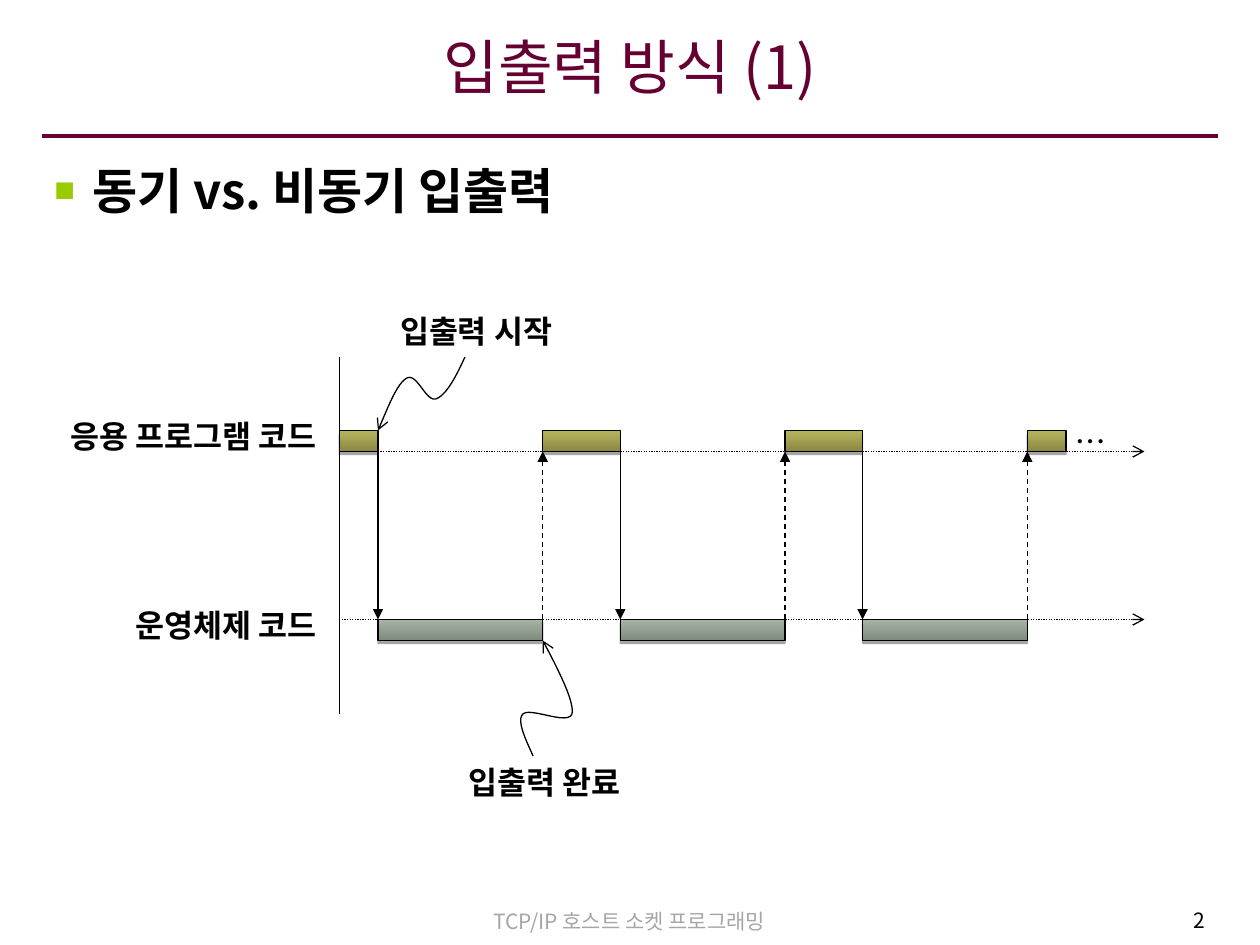
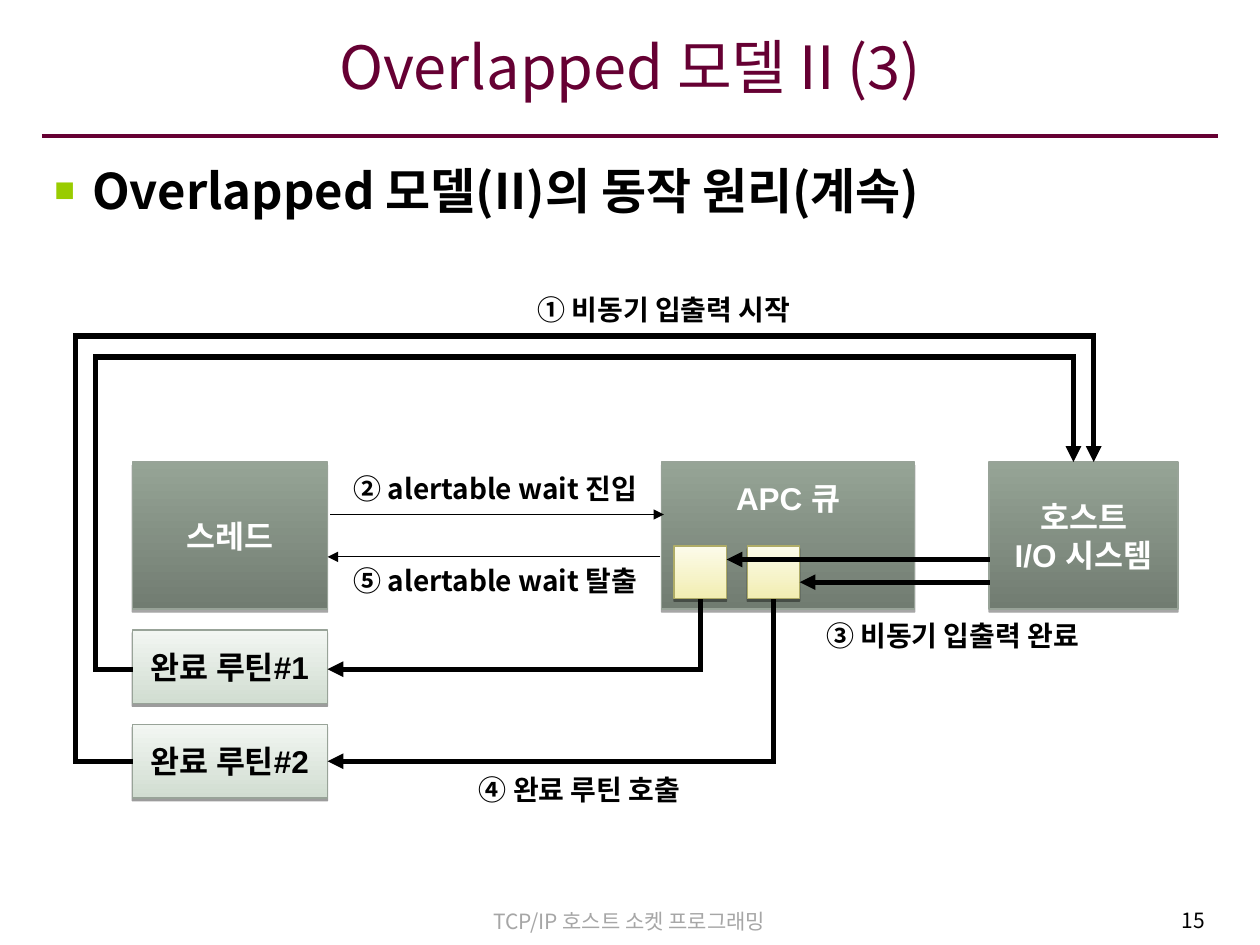
from collections import namedtuple
from itertools import pairwise

from lxml.etree import SubElement
from pptx import Presentation
from pptx.dml.color import RGBColor
from pptx.enum.dml import MSO_LINE
from pptx.enum.shapes import MSO_CONNECTOR, MSO_SHAPE
from pptx.enum.text import MSO_ANCHOR, PP_ALIGN
from pptx.oxml.ns import qn
from pptx.util import Pt

Box = namedtuple("Box", "left top width height")

COLOURS = {
    "black": "000000", "white": "FFFFFF", "wine": "660033",
    "lime": "99CC00", "footer": "A6A6A6",
    "olive_low": "8A8745", "olive_high": "B8B45C",
    "sage_low": "7E8A7E", "sage_high": "A6B6A6",
    "moss_low": "717C71", "moss_high": "96A496", "moss_edge": "98A398",
    "mint_low": "D1DDD1", "mint_high": "F2F6F2",
    "cream_low": "F2EEB2", "cream_high": "FCFBEA", "cream_edge": "AFAC67",
}
KOREAN = "Noto Sans CJK KR"
FONTS = {
    "title": {"name": KOREAN, "size": Pt(34)},
    "heading": {"name": KOREAN, "size": Pt(28), "bold": True},
    "footer": {"name": KOREAN, "size": Pt(12)},
    "label": {"name": KOREAN, "size": Pt(18), "bold": True},
    "step": {"name": KOREAN, "size": Pt(16), "bold": True},
    "block": {"name": "Arial", "size": Pt(18), "bold": True},
    "dots": {"name": "Times New Roman", "size": Pt(10)},
}
MARGINS = {"margin_left": Pt(7.2), "margin_top": Pt(3.6),
           "margin_right": Pt(7.2), "margin_bottom": Pt(3.6)}
UNWRAPPED = {"word_wrap": False, "vertical_anchor": MSO_ANCHOR.MIDDLE}
SLIDE = Box(0, 0, 720, 540)
TIMELINE = Box(66, 174, 588, 288)
FLOW = Box(43, 162, 631, 300)


def colour(name):
    return RGBColor.from_string(COLOURS[name])


def apply_format(target, values):
    for name, value in values.items():
        setattr(target, name, value)


def inside(area, left, top, width, height):
    return Box(area.left + left, area.top + top, width, height)


def lengths(box):
    return [Pt(value) for value in box]


def write(shape, lines, style, tint="black", align=PP_ALIGN.CENTER, **frame_format):
    frame = shape.text_frame
    apply_format(frame, MARGINS | UNWRAPPED | frame_format)
    for index, line in enumerate(lines.split("\n")):
        para = frame.add_paragraph() if index else frame.paragraphs[0]
        para.alignment = align
        span = para.add_run()
        span.text = line
        apply_format(span.font, FONTS[style])
        span.font.color.rgb = colour(tint)
        SubElement(span._r.get_or_add_rPr(), qn("a:ea"), typeface=KOREAN)
    return frame


def add_label(page, box, text, style, tint="black", align=PP_ALIGN.CENTER, **frame_format):
    shape = page.shapes.add_textbox(*lengths(box))
    return write(shape, text, style, tint, align, **frame_format)


def add_plain_label(page, box, text):
    shape = page.shapes.add_shape(MSO_SHAPE.RECTANGLE, *lengths(box))
    shape.shadow.inherit = False
    shape.fill.solid()
    shape.fill.fore_color.rgb = colour("white")
    shape.line.fill.background()
    write(shape, text, "label", align=PP_ALIGN.RIGHT)


def add_block(page, box, family, edge="black", opacity=35, drop=1.8):
    shape = page.shapes.add_shape(MSO_SHAPE.RECTANGLE, *lengths(box))
    shape.fill.gradient()
    shape.fill.gradient_angle = 90
    for stop, end in zip(shape.fill.gradient_stops, ("low", "high")):
        stop.color.rgb = colour(f"{family}_{end}")
    shape.line.color.rgb = colour(edge)
    shape.line.width = Pt(0.75)
    shape.shadow.inherit = False
    effects = shape.element.spPr.find(qn("a:effectLst"))
    shadow = SubElement(effects, qn("a:outerShdw"), blurRad="0", dist=str(Pt(drop)),
                        dir="5400000", algn="ctr", rotWithShape="0")
    black = SubElement(shadow, qn("a:srgbClr"), val=COLOURS["black"])
    SubElement(black, qn("a:alpha"), val=str(opacity * 1000))
    return shape


def style_line(shape, tint, width, dash=None, head=None, tail=None):
    shape.line.color.rgb = colour(tint)
    shape.line.width = Pt(width)
    if dash:
        shape.line.dash_style = dash
    outline = shape.element.spPr.find(qn("a:ln"))
    for end, kind in (("a:headEnd", head), ("a:tailEnd", tail)):
        if kind:
            SubElement(outline, qn(end), type=kind)
    return outline


def add_line(page, area, start, end, tint="black", width=0.75, dash=None, tail=None):
    ends = [Pt(base + value) for point in (start, end)
            for base, value in zip((area.left, area.top), point)]
    line = page.shapes.add_connector(MSO_CONNECTOR.STRAIGHT, *ends)
    outline = style_line(line, tint, width, dash, tail=tail)
    SubElement(line.element.spPr, qn("a:effectLst"))
    return outline


def add_route(page, area, joints):
    legs = list(pairwise(joints))
    for start, end in legs[:-1]:
        add_line(page, area, start, end, width=3).set("cap", "sq")
    add_line(page, area, *legs[-1], width=3, tail="triangle")


def add_curve(page, area, points, steps=12):
    samples = []
    for first in range(0, len(points) - 1, 3):
        corners = points[first:first + 4]
        for step in range(1, steps + 1):
            t = step / steps
            weights = ((1 - t) ** 3, 3 * t * (1 - t) ** 2, 3 * t * t * (1 - t), t ** 3)
            samples.append([sum(weight * corner[axis] for weight, corner in zip(weights, corners))
                            for axis in (0, 1)])
    start, *rest = [(Pt(area.left + x), Pt(area.top + y)) for x, y in [points[0], *samples]]
    builder = page.shapes.build_freeform(*start)
    builder.add_line_segments(rest, close=False)
    curve = builder.convert_to_shape()
    curve.fill.background()
    curve.shadow.inherit = False
    style_line(curve, "black", 0.75, head="arrow")


def add_frame(page, area, title, heading, number):
    add_line(page, area, (24, 77.8), (696, 77.8), "wine", 2.25)
    top = {"word_wrap": True, "vertical_anchor": MSO_ANCHOR.TOP}
    add_label(page, inside(area, 206.6, 515.5, 306, 21.6),
              "TCP/IP 호스트 소켓 프로그래밍", "footer", "footer", **top)
    add_label(page, inside(area, 543, 515, 152.6, 23.8), number, "footer",
              align=PP_ALIGN.RIGHT, **top)
    add_label(page, inside(area, 24, 10.8, 672, 61.2), title, "title", "wine",
              word_wrap=True, margin_left=Pt(6), margin_right=Pt(6), margin_bottom=Pt(11.5))
    body = add_label(page, inside(area, 24, 88, 672, 422), heading, "heading",
                     align=PP_ALIGN.LEFT, **top)
    para = body.paragraphs[0]
    para.space_before = Pt(7)
    properties = para._p.get_or_add_pPr()
    properties.set("marL", str(Pt(21.6)))
    properties.set("indent", str(-Pt(21.6)))
    bullet = SubElement(properties, qn("a:buClr"))
    SubElement(bullet, qn("a:srgbClr"), val=COLOURS["lime"])
    SubElement(properties, qn("a:buSzPct"), val="70000")
    SubElement(properties, qn("a:buFont"), typeface="Arial")
    SubElement(properties, qn("a:buChar"), char="■")


def add_timeline(page, area):
    axis, half, wait, bar = 127.85, 22.15, 94.15, 12
    program, system = 84, 180
    period = 2 * half + wait
    calls = [axis + half + period * turn for turn in range(3)]

    for row in (program, system):
        add_line(page, area, (axis, row), (area.width, row),
                 dash=MSO_LINE.ROUND_DOT, tail="arrow")
    for call in calls:
        done = call + wait
        add_line(page, area, (call, program), (call, system), tail="triangle")
        add_line(page, area, (done, system), (done, program),
                 dash=MSO_LINE.DASH, tail="triangle")
    add_block(page, inside(area, axis, program - bar, half, bar), "olive")
    for call in calls:
        done = call + wait
        run = half if call == calls[-1] else 2 * half
        add_block(page, inside(area, call, system, wait, bar), "sage")
        add_block(page, inside(area, done, program - bar, run, bar), "olive")
    add_line(page, area, (axis, 30), (axis, 234))

    add_label(page, inside(area, 537, program - bar, 40, bar), "• • •", "dots",
              margin_left=0, margin_right=0)
    for row, text in ((60, "응용 프로그램 코드"), (168, "운영체제 코드")):
        add_plain_label(page, inside(area, 0, row, 122, 30), text)
    for left, top, text in ((155.5, 0, "입출력 시작"), (194.5, 258, "입출력 완료")):
        add_label(page, inside(area, left, top, 112, 30), text, "label", align=PP_ALIGN.LEFT)

    add_curve(page, area, [
        (244.2, 192), (253.7, 210), (262.3, 227), (260.9, 234), (258.7, 240.7),
        (237.1, 230), (232.8, 234), (229.2, 238), (234.2, 248), (238.6, 258)])
    add_curve(page, area, [
        (150, 72), (155.8, 58.6), (160.8, 45), (166.6, 42), (172.3, 39),
        (177.4, 55.7), (183.1, 54), (188.9, 52), (194.6, 41.3), (199.7, 30)])


def add_flow(page, area):
    left, top, width, height = 32.6, 102, 111.6, 84
    blocks = [
        (left, width, "스레드", {}),
        (335, 144.7, "APC 큐", {"vertical_anchor": MSO_ANCHOR.TOP, "margin_top": Pt(9.5)}),
        (522.2, 108, "호스트\nI/O 시스템", {}),
    ]
    for start, size, text, frame_format in blocks:
        shape = add_block(page, inside(area, start, top, size, height), "moss", "moss_edge")
        write(shape, text, "block", "white", **frame_format)
    add_line(page, area, (145.6, 132), (336.4, 132), tail="triangle")
    add_line(page, area, (334.3, 156.2), (144.2, 156.2), tail="triangle")

    cell = 30
    cells = [342.2, 384]
    for index, start in enumerate(cells):
        add_block(page, inside(area, start, 150, cell, cell), "cream", "cream_edge", 38, 1.6)
        routine = add_block(page, inside(area, left, 198 + 54 * index, width, 42),
                            "mint", "moss_edge", 38, 1.6)
        write(routine, f"완료 루틴#{index + 1}", "block")

    steps = [
        ((246.4, 0, 180, 30), "① 비동기 입출력 시작"),
        ((150, 105, 180, 24), "② alertable wait 진입"),
        ((408.4, 185.8, 186, 30), "③ 비동기 입출력 완료"),
        ((192.4, 278, 191.5, 22.3), "④ 완료 루틴 호출"),
        ((150, 157.7, 180, 24), "⑤ alertable wait 탈출"),
    ]
    for place, text in steps:
        add_label(page, inside(area, *place), text, "step")

    for index, start in enumerate(cells):
        row = 220.4 + 52.6 * index
        middle = start + cell / 2
        signal = 157.7 + 13 * index
        outer, roof, drop = 11.7 - 11.5 * index, 42 - 12 * index, 570.4 + 11.6 * index
        add_route(page, area, [(middle, 182), (middle, row), (left + width, row)])
        add_route(page, area, [(522.5, signal), (start + cell, signal)])
        add_route(page, area, [(left - 1, row), (outer, row), (outer, roof),
                               (drop, roof), (drop, top)])


def main():
    deck = Presentation()
    apply_format(deck, {"slide_width": Pt(SLIDE.width), "slide_height": Pt(SLIDE.height)})
    slides = [
        ("입출력 방식 (1)", "동기 vs. 비동기 입출력", "2", add_timeline, TIMELINE),
        ("Overlapped 모델 II (3)", "Overlapped 모델(II)의 동작 원리(계속)", "15", add_flow, FLOW),
    ]
    for title, heading, number, add_diagram, area in slides:
        page = deck.slides.add_slide(deck.slide_layouts[6])
        add_frame(page, SLIDE, title, heading, number)
        add_diagram(page, area)
    deck.save("out.pptx")


if __name__ == "__main__":
    main()
